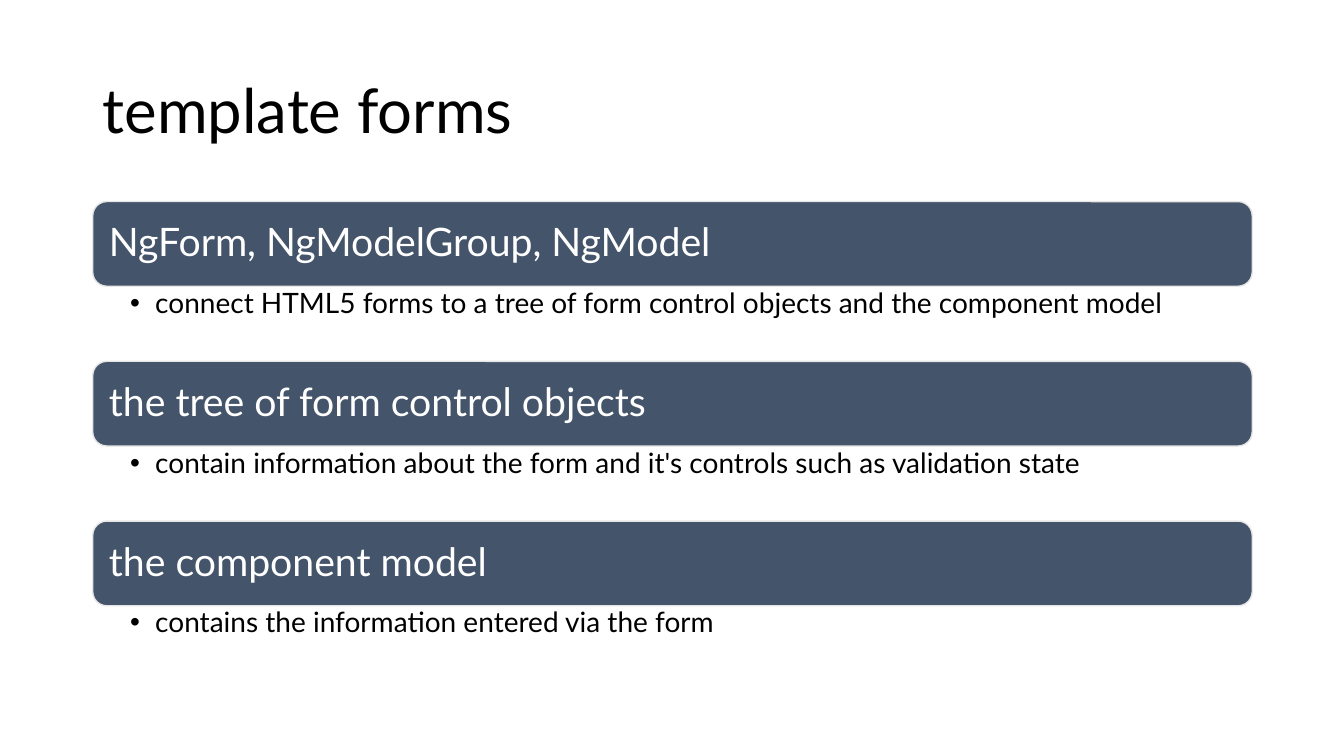
"""Build the "template forms" slide: three headed bars, each with a bullet."""
from lxml import etree
from pptx import Presentation
from pptx.dml.color import RGBColor
from pptx.enum.shapes import MSO_SHAPE
from pptx.enum.text import MSO_ANCHOR, PP_ALIGN
from pptx.oxml.ns import qn
from pptx.util import Inches, Pt

LEFT, WIDTH = 0.92, 11.5
BAR_HEIGHT, DETAIL_HEIGHT = 0.84, 0.74
FIRST_TOP, PITCH = 2, 1.585

SECTIONS = [
    ("NgForm, NgModelGroup, NgModel",
     "connect HTML5 forms to a tree of form control objects and the component model"),
    ("the tree of form control objects",
     "contain information about the form and it's controls such as validation state"),
    ("the component model",
     "contains the information entered via the form"),
]


def color(value):
    return RGBColor.from_string(value)


def write(box, text, size, ink, insets, anchor=MSO_ANCHOR.MIDDLE, bullet=False):
    frame = box.text_frame
    frame.word_wrap = True
    frame.vertical_anchor = anchor
    (frame.margin_left, frame.margin_top,
     frame.margin_right, frame.margin_bottom) = map(Inches, insets)
    para = frame.paragraphs[0]
    para.alignment = PP_ALIGN.LEFT
    para.line_spacing = 0.9
    if bullet:
        props = para._p.get_or_add_pPr()
        props.set("marL", str(Inches(0.25)))
        props.set("indent", str(Inches(-0.25)))
        etree.SubElement(props, qn("a:buFont"), typeface="Arial")
        etree.SubElement(props, qn("a:buChar"), char="•")
    span = para.add_run()
    span.text = text
    span.font.name = "Lato"
    span.font.size = Pt(size)
    span.font.color.rgb = color(ink)


deck = Presentation()
deck.slide_width, deck.slide_height = Inches(13.33), Inches(7.5)
page = deck.slides.add_slide(deck.slide_layouts[6])

title = page.shapes.add_textbox(Inches(LEFT), Inches(0.4), Inches(WIDTH), Inches(1.45))
write(title, "template forms", 44, "000000", (0.1, 0.05, 0.1, 0.05))

for index, (heading, detail) in enumerate(SECTIONS):
    top = FIRST_TOP + index * PITCH
    bar = page.shapes.add_shape(MSO_SHAPE.ROUNDED_RECTANGLE, Inches(LEFT), Inches(top),
                                Inches(WIDTH), Inches(BAR_HEIGHT))
    bar.shadow.inherit = False
    bar.fill.solid()
    bar.fill.fore_color.rgb = color("44546A")
    bar.line.color.rgb = color("E7E6E6")
    bar.line.width = Pt(1)
    write(bar, heading, 28, "FFFFFF", (0.12, 0.12, 0.12, 0.12))

    box = page.shapes.add_textbox(Inches(LEFT), Inches(top + BAR_HEIGHT),
                                  Inches(WIDTH), Inches(DETAIL_HEIGHT))
    write(box, detail, 20, "000000", (0.37, 0.03, 0.16, 0.03), MSO_ANCHOR.TOP, bullet=True)

deck.save("out.pptx")
